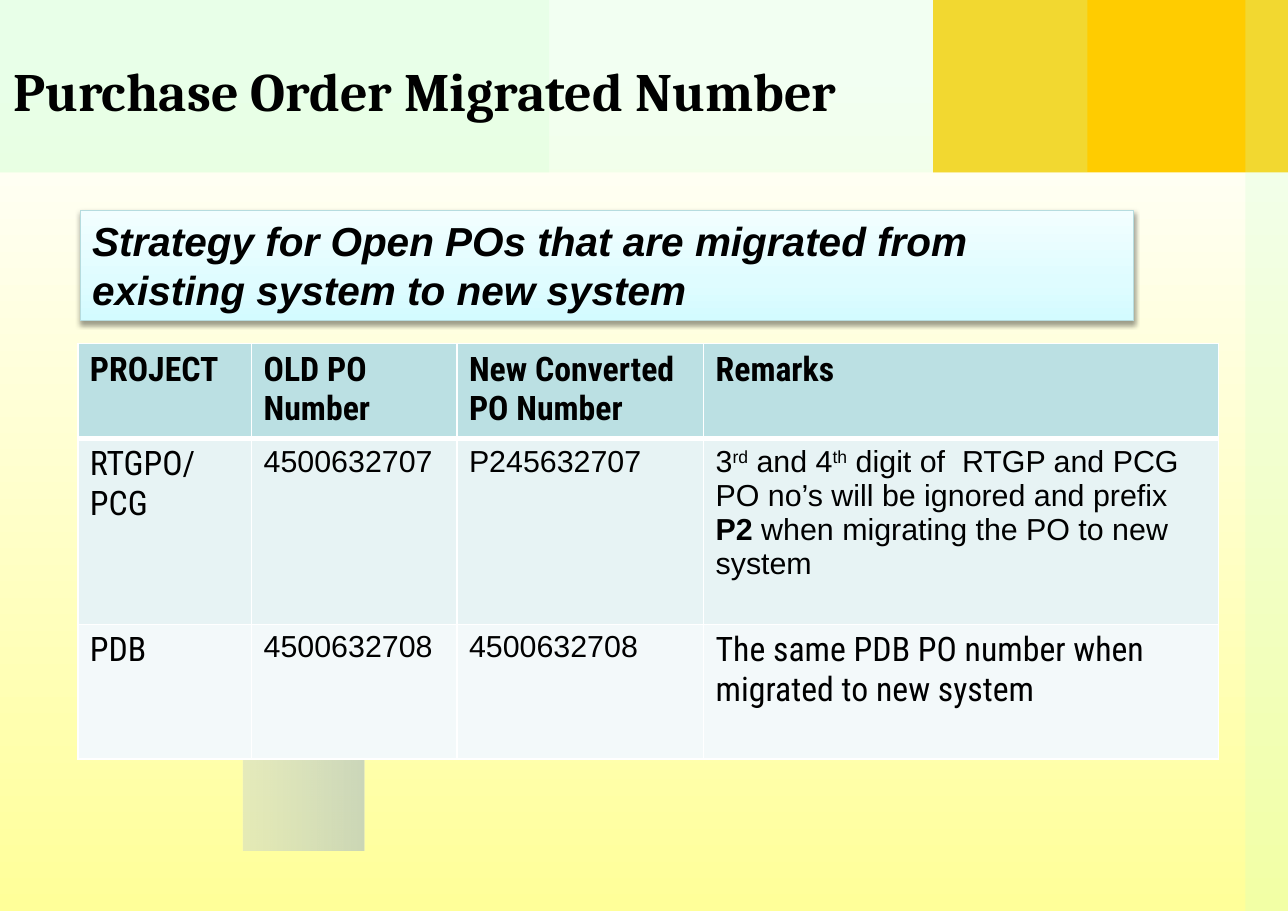
from lxml import etree
from pptx import Presentation
from pptx import util as u
from pptx.dml.color import RGBColor
from pptx.enum import shapes, text
from pptx.oxml.ns import qn

W, H = 10.6, 7.5
HEAD_H = 1.42

TITLE = "Purchase Order Migrated Number"
BANNER = "Strategy for Open POs that are migrated from existing system to new system"

LABEL = ("Roboto Condensed", 20)
VALUE = ("Arial", 18)
REMARK = [("3", ""), ("rd", "super"), (" and 4", ""), ("th", "super"),
          (" digit of  RTGP and PCG PO no’s will be ignored and prefix ", ""),
          ("P2", "bold"), (" when migrating the PO to new system", "")]

COLUMNS = [1.43, 1.69, 2.03, 4.24]
# height, fill, cells as (font, runs)
ROWS = [
    (0.78, "BBE0E3", [(LABEL, [(name, "bold")]) for name in
                      ("PROJECT", "OLD PO Number", "New Converted PO Number", "Remarks")]),
    (1.53, "E7F3F4", [(LABEL, [("RTGPO/ PCG", "")]), (VALUE, [("4500632707", "")]),
                      (VALUE, [("P245632707", "")]), (VALUE, REMARK)]),
    (1.11, "F3F9FA", [(LABEL, [("PDB", "")]), (VALUE, [("4500632708", "")]),
                      (VALUE, [("4500632708", "")]),
                      (LABEL, [("The same PDB PO number when migrated to new system", "")])]),
]

# left, top, width, height, colour, opacity in percent
BANDS = [
    (7.68, 0, W - 7.68, HEAD_H, "FFCC00", 100),
    (10.25, 0, W - 10.25, H, "CCFFCC", 24),
    (0, 0, 8.95, HEAD_H, "CCFFCC", 24),
    (0, 0, 4.52, HEAD_H, "CCFFCC", 24),
]

SWOOSH_TOP = [(0, 6.9), (2.88, 6.05), (5.2, 6.71), (6.66, 7.29)]
SWOOSH_BOTTOM = [(6.66, 7.29), (4.76, 6.75), (1.88, 6.59), (0.04, 7.37)]


def rgb(colour):
    return RGBColor.from_string(colour)


def element(parent, tag, **attributes):
    return etree.SubElement(parent, qn(tag), {k: str(v) for k, v in attributes.items()})


def add_colour(parent, colour, opacity=100):
    clr = element(parent, "a:srgbClr", val=colour)
    if opacity < 100:
        element(clr, "a:alpha", val=opacity * 1000)


def solid(sp, colour, opacity=100):
    sp.fill.solid()
    sp.fill.fore_color.rgb = rgb(colour)
    if opacity < 100:
        clr = sp._element.spPr.find(qn("a:solidFill"))[0]
        element(clr, "a:alpha", val=opacity * 1000)


def gradient(sp, stops, angle):
    """Fill with stops of (percent, colour, opacity), angle clockwise in degrees."""
    sp.fill.gradient()
    grad = sp._element.spPr.find(qn("a:gradFill"))
    for child in list(grad):
        grad.remove(child)
    stop_list = element(grad, "a:gsLst")
    for position, colour, opacity in stops:
        add_colour(element(stop_list, "a:gs", pos=position * 1000), colour, opacity)
    element(grad, "a:lin", ang=angle * 60000, scaled=0)


def add_rect(slide, left, top, width, height):
    sp = slide.shapes.add_shape(shapes.MSO_SHAPE.RECTANGLE, *map(u.Inches, (left, top, width, height)))
    sp.shadow.inherit = False
    sp.line.fill.background()
    return sp


def bezier(points, steps=40):
    curve = []
    for i in range(steps + 1):
        t = i / steps
        weights = ((1 - t) ** 3, 3 * t * (1 - t) ** 2, 3 * t * t * (1 - t), t ** 3)
        curve.append(tuple(sum(w * p[axis] for w, p in zip(weights, points)) for axis in (0, 1)))
    return curve


def style(r, font, size, bold=False, italic=False):
    r.font.name, r.font.size = font, u.Pt(size)
    r.font.bold, r.font.italic = bold, italic
    r.font.color.rgb = rgb("000000")


def add_backdrop(slide):
    gradient(add_rect(slide, 0, 0.58, W, H - 0.58), [(0, "FFFFFF", 100), (100, "FFFF99", 100)], 90)
    for *box, colour, opacity in BANDS:
        solid(add_rect(slide, *box), colour, opacity)
    outline = bezier(SWOOSH_TOP) + bezier(SWOOSH_BOTTOM)[1:]
    builder = slide.shapes.build_freeform(*outline[0], scale=u.Inches(1))
    builder.add_line_segments(outline[1:], close=True)
    swoosh = builder.convert_to_shape()
    swoosh.shadow.inherit = False
    swoosh.line.fill.background()
    gradient(swoosh, [(0, "FFFFFF", 9), (100, "033989", 100)], 0)


def place_title(slide):
    title = slide.shapes.title
    slide.shapes._spTree.append(title._element)
    title.left, title.top, title.width, title.height = map(u.Inches, (0.01, 0.43, 7.69, 0.62))
    tf = title.text_frame
    tf.text = TITLE
    tf.vertical_anchor = text.MSO_ANCHOR.MIDDLE
    tf.paragraphs[0].alignment = text.PP_ALIGN.LEFT
    style(tf.paragraphs[0].runs[0], "Cambria", 32, bold=True)


def add_borders(cell, row):
    tc_pr = cell._tc.get_or_add_tcPr()
    widths = {"L": 1, "R": 1, "T": 3 if row == 1 else 1, "B": 3 if row == 0 else 1}
    for side, width in widths.items():
        line = element(tc_pr, f"a:ln{side}", w=u.Pt(width))
        add_colour(element(line, "a:solidFill"), "FFFFFF")


def add_po_table(slide):
    size = sum(COLUMNS), sum(height for height, *_ in ROWS)
    table = slide.shapes.add_table(len(ROWS), len(COLUMNS),
                                   *map(u.Inches, (0.64, 2.83, *size))).table
    for column, width in zip(table.columns, COLUMNS):
        column.width = u.Inches(width)
    for i, (height, fill, cells) in enumerate(ROWS):
        table.rows[i].height = u.Inches(height)
        for j, (font, runs) in enumerate(cells):
            cell = table.cell(i, j)
            add_borders(cell, i)
            cell.fill.solid()
            cell.fill.fore_color.rgb = rgb(fill)
            p = cell.text_frame.paragraphs[0]
            for words, kind in runs:
                r = p.add_run()
                r.text = words
                style(r, *font, bold=kind == "bold")
                if kind == "super":
                    r.font._element.set("baseline", "30000")


def add_banner(slide):
    sp = add_rect(slide, 0.66, 1.73, 8.67, 0.91)
    gradient(sp, [(0, "D3FBFF", 100), (35, "DFFCFF", 100), (100, "F2FEFF", 100)], 270)
    sp.line.color.rgb = rgb("B6DCDF")
    sp.line.width = u.Pt(0.75)
    shadow = element(sp._element.spPr.find(qn("a:effectLst")), "a:outerShdw",
                     blurRad=u.Pt(3.1), dist=u.Pt(1.6), dir=90 * 60000, rotWithShape=0)
    add_colour(shadow, "000000", 38)
    tf = sp.text_frame
    tf.text = BANNER
    tf.word_wrap = True
    tf.vertical_anchor = text.MSO_ANCHOR.TOP
    tf.paragraphs[0].alignment = text.PP_ALIGN.LEFT
    style(tf.paragraphs[0].runs[0], "Arial", 24, bold=True, italic=True)


def main():
    prs = Presentation()
    prs.slide_width, prs.slide_height = u.Inches(W), u.Inches(H)
    slide = prs.slides.add_slide(prs.slide_layouts.get_by_name("Title Only"))
    add_backdrop(slide)
    place_title(slide)
    add_po_table(slide)
    add_banner(slide)
    prs.save("out.pptx")


if __name__ == "__main__":
    main()
